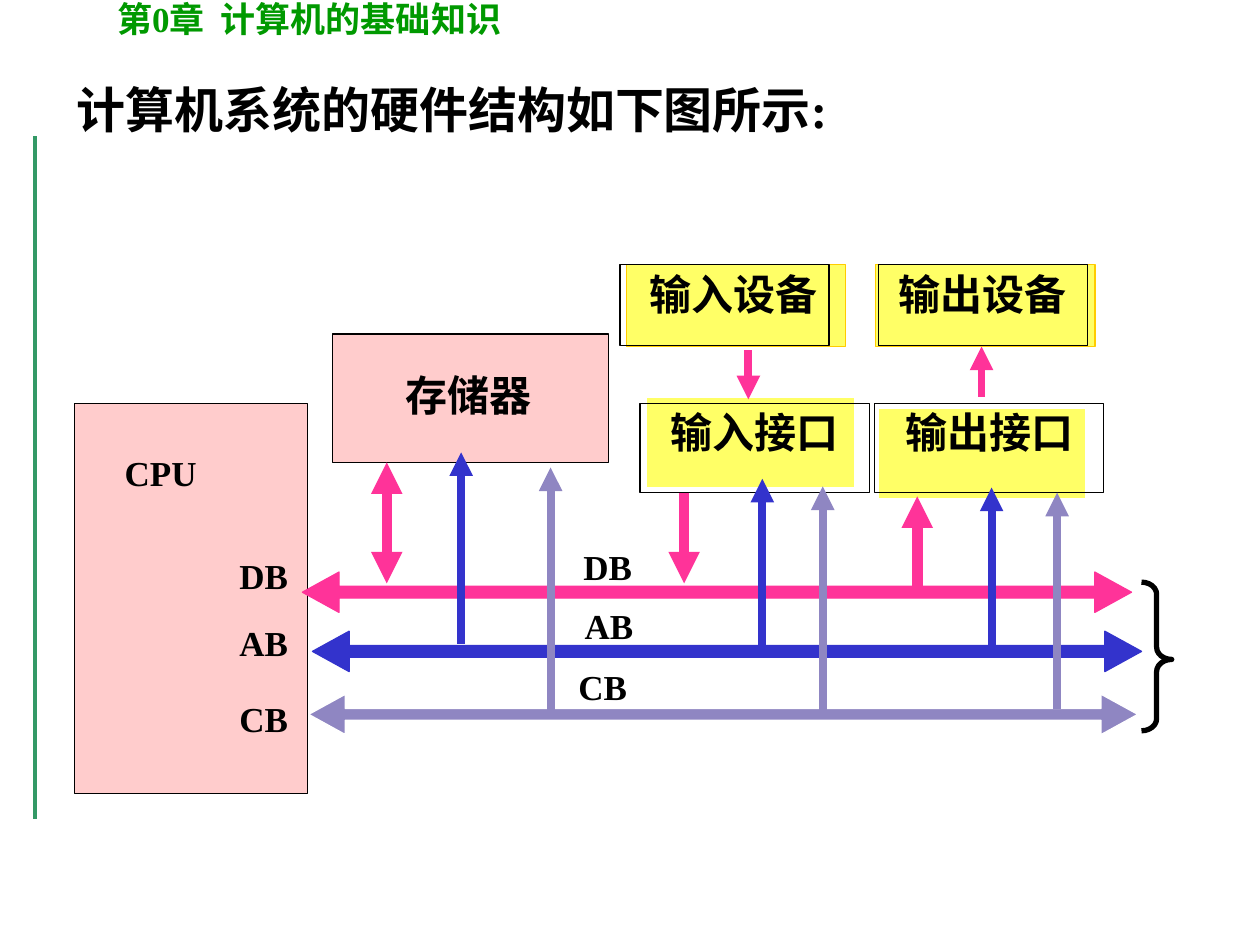
from lxml.etree import SubElement
from pptx import Presentation
from pptx.dml.color import RGBColor
from pptx.enum.shapes import MSO_CONNECTOR, MSO_SHAPE
from pptx.enum.text import MSO_ANCHOR, MSO_AUTO_SIZE, PP_ALIGN
from pptx.oxml.ns import qn
from pptx.util import Inches, Pt

COLORS = {
    "black": "000000",
    "white": "FFFFFF",
    "rule": "339966",
    "chapter": "009900",
    "pink_fill": "FFCCCC",
    "yellow": "FFFF66",
    "gold": "FFCC00",
    "data": "FF3399",
    "address": "3333CC",
    "control": "8F86C2",
}
FONT = "Times New Roman"


def color(name):
    return RGBColor.from_string(COLORS[name])


def write_text(shape, text, size=20, ink="black", align=PP_ALIGN.LEFT,
               insets=(0.06, 0.03, 0.06, 0.03), line_spacing=None, space_before=0):
    frame = shape.text_frame
    frame.word_wrap = True
    frame.auto_size = MSO_AUTO_SIZE.NONE
    frame.vertical_anchor = MSO_ANCHOR.TOP
    (frame.margin_left, frame.margin_top,
     frame.margin_right, frame.margin_bottom) = map(Inches, insets)
    paragraph = frame.paragraphs[0]
    paragraph.alignment = align
    paragraph.space_before = Pt(space_before)
    paragraph.line_spacing = line_spacing
    run = paragraph.add_run()
    run.text = text
    run.font.name = FONT
    run.font.size = Pt(size)
    run.font.bold = True
    run.font.color.rgb = color(ink)


def fill_placeholder(placeholder, box, text, **text_format):
    placeholder.left, placeholder.top, placeholder.width, placeholder.height = map(Inches, box)
    write_text(placeholder, text, insets=(0.1, 0.05, 0.1, 0.05), **text_format)
    properties = placeholder.text_frame.paragraphs[0]._p.get_or_add_pPr()
    properties.set("marL", "0")
    properties.set("indent", "0")
    SubElement(properties, qn("a:buNone"))


def add_label(slide, box, text, **text_format):
    label = slide.shapes.add_textbox(*map(Inches, box))
    write_text(label, text, **text_format)


def add_block(slide, box, fill=None, line="black", kind=MSO_SHAPE.RECTANGLE,
              line_width=0.75, adjustments=()):
    shape = slide.shapes.add_shape(kind, *map(Inches, box))
    shape.shadow.inherit = False
    if fill:
        shape.fill.solid()
        shape.fill.fore_color.rgb = color(fill)
    else:
        shape.fill.background()
    shape.line.color.rgb = color(line)
    shape.line.width = Pt(line_width)
    for index, value in enumerate(adjustments):
        shape.adjustments[index] = value
    return shape


def add_line(slide, start, end, ink, width, ends=("tailEnd",)):
    points = map(Inches, (*start, *end))
    connector = slide.shapes.add_connector(MSO_CONNECTOR.STRAIGHT, *points)
    connector.line.color.rgb = color(ink)
    connector.line.width = Pt(width)
    outline = connector.line._get_or_add_ln()
    for end_name in ends:
        SubElement(outline, qn(f"a:{end_name}"), type="triangle")
    SubElement(connector._element.spPr, qn("a:effectLst"))


def add_framed_unit(slide, back_box, back_line, frame_box, text, left_inset=0.06):
    """Yellow panel with a slightly offset black frame that holds the name."""
    add_block(slide, back_box, "yellow", back_line)
    frame = add_block(slide, frame_box)
    write_text(frame, text, size=24, align=PP_ALIGN.CENTER,
               insets=(left_inset, 0.03, 0.06, 0.03))


def add_headings(slide):
    fill_placeholder(slide.shapes.title, (0.83, -0.07, 5.75, 0.44),
                     "第0章  计算机的基础知识", ink="chapter")
    fill_placeholder(slide.placeholders[1], (0.51, 0.44, 9, 0.87),
                     "计算机系统的硬件结构如下图所示:", size=28,
                     line_spacing=1.3, space_before=7)


def add_units(slide):
    # Processor and memory
    add_block(slide, (0.59, 3.2, 1.85, 3.1), "pink_fill")
    add_label(slide, (0.93, 3.55, 0.96, 0.66), "CPU")
    add_block(slide, (2.64, 2.65, 2.19, 1.02), "pink_fill")
    add_label(slide, (3.16, 2.9, 1.36, 0.5), "存储器", size=24)

    # Devices and their interfaces
    add_framed_unit(slide, (5.13, 3.15, 1.65, 0.72), "white",
                    (5.08, 3.2, 1.82, 0.71), "输入接口")
    add_framed_unit(slide, (4.97, 2.1, 1.74, 0.65), "gold",
                    (4.92, 2.1, 1.66, 0.64), "输入设备", left_inset=0.2)
    add_framed_unit(slide, (6.97, 3.24, 1.65, 0.72), "white",
                    (6.94, 3.2, 1.82, 0.71), "输出接口")
    add_framed_unit(slide, (6.95, 2.1, 1.74, 0.65), "gold",
                    (6.97, 2.1, 1.66, 0.64), "输出设备")


def add_buses(slide):
    # Name, left, top, fill, line, label position, CPU label top
    buses = [
        ("AB", 2.48, 5.01, "address", "address", (4.58, 4.77), 4.9),
        ("DB", 2.4, 4.54, "data", "data", (4.57, 4.3), 4.37),
        ("CB", 2.45, 5.51, "control", "white", (4.53, 5.25), 5.51),
    ]
    for name, left, top, fill, line, label_position, port_top in buses:
        add_block(slide, (left, top, 6.58, 0.32), fill, line,
                  MSO_SHAPE.LEFT_RIGHT_ARROW, adjustments=(0.29, 0.91))
        add_label(slide, (*label_position, 0.79, 0.48), name)
        add_label(slide, (1.84, port_top, 0.79, 0.6), name)


def add_links(slide):
    add_line(slide, (3.07, 3.67), (3.07, 4.63), "data", 6, ("headEnd", "tailEnd"))
    # Each arrow: x, start y, end y, colour, width
    arrows = [
        (3.66, 5.11, 3.59, "address", 4.5),
        (4.37, 5.7, 3.71, "control", 4.5),
        (5.43, 3.91, 4.63, "data", 6),
        (6.05, 5.15, 3.8, "address", 4.5),
        (6.53, 5.7, 3.86, "control", 4.5),
        (7.28, 4.66, 3.94, "data", 6),
        (7.87, 5.15, 3.87, "address", 4.5),
        (8.39, 5.63, 3.91, "control", 4.5),
        (5.94, 2.78, 3.17, "data", 4.5),
        (7.79, 3.15, 2.75, "data", 4.5),
    ]
    for x, start, end, ink, width in arrows:
        add_line(slide, (x, start), (x, end), ink, width)


def main():
    presentation = Presentation()
    presentation.slide_width = Inches(10)
    presentation.slide_height = Inches(7.5)
    slide = presentation.slides.add_slide(presentation.slide_layouts[1])

    add_line(slide, (0.28, 1.08), (0.28, 6.5), "rule", 2.25, ends=())
    add_headings(slide)
    add_units(slide)
    add_buses(slide)
    add_links(slide)
    # Brace that gathers the three buses
    add_block(slide, (9.06, 4.62, 0.24, 1.18), kind=MSO_SHAPE.RIGHT_BRACE,
              line_width=3, adjustments=(0.4, 0.52))

    presentation.save("out.pptx")


if __name__ == "__main__":
    main()
